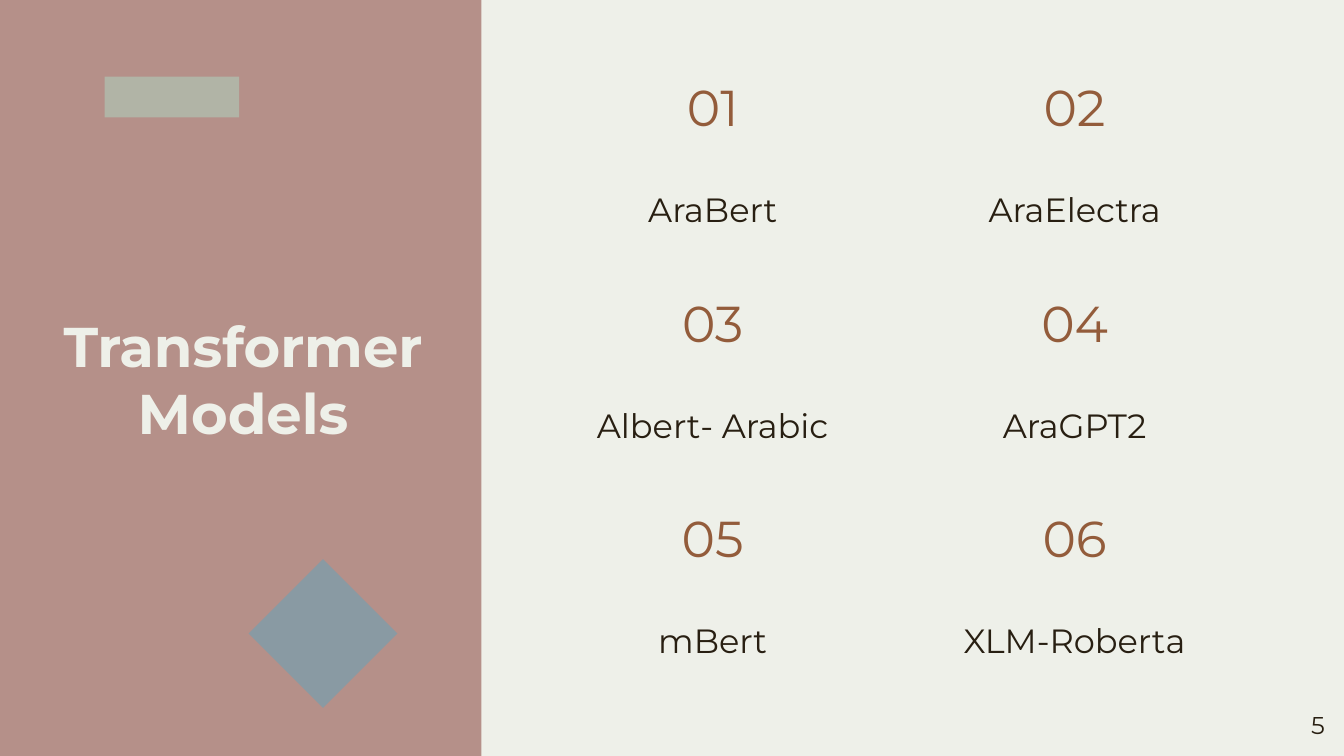
from pptx import Presentation
from pptx.dml.color import RGBColor
from pptx.enum.shapes import MSO_SHAPE
from pptx.enum.text import MSO_ANCHOR, MSO_AUTO_SIZE, PP_ALIGN
from pptx.util import Cm, Pt

# Content
TITLE = "Transformer Models"
MODELS = ["AraBert", "AraElectra", "Albert- Arabic", "AraGPT2", "mBert", "XLM-Roberta"]
PAGE = "5"

# Style
FONT = "Montserrat"
ROSE, CREAM, BROWN, INK = "B59089", "EEF0E9", "935C3B", "281F12"
SAGE, SLATE = "B1B4A6", "899AA3"

# Grid, in cm
COLUMNS = 2
CENTER_X, COLUMN_STEP = 13.47, 6.84
TOP, ROW_STEP = 1.45, 4.07
NUMBER_W, NUMBER_H = 3.53, 1.14
LABEL_W, LABEL_H, LABEL_DROP = 6.84, 1.35, 1.88


def color(value):
    return RGBColor.from_string(value)


def add_block(s, kind, x, y, w, h, fill):
    sp = s.shapes.add_shape(kind, Cm(x), Cm(y), Cm(w), Cm(h))
    sp.shadow.inherit = False
    sp.fill.solid()
    sp.fill.fore_color.rgb = color(fill)
    sp.line.fill.background()


def write(sp, text, size, ink, align=PP_ALIGN.CENTER, anchor=MSO_ANCHOR.TOP, bold=False):
    tf = sp.text_frame
    tf.word_wrap = True
    tf.auto_size = MSO_AUTO_SIZE.NONE
    tf.vertical_anchor = anchor
    tf.margin_left = tf.margin_right = tf.margin_top = tf.margin_bottom = Cm(0.25)
    p = tf.paragraphs[0]
    p.alignment = align
    r = p.add_run()
    r.text = text
    r.font.name = FONT
    r.font.size = Pt(size)
    r.font.bold = bold
    r.font.color.rgb = color(ink)


def add_text(s, x, y, w, h, *args, **kwargs):
    write(s.shapes.add_textbox(Cm(x), Cm(y), Cm(w), Cm(h)), *args, **kwargs)


prs = Presentation()
prs.slide_width, prs.slide_height = Cm(25.4), Cm(14.29)
s = prs.slides.add_slide(prs.slide_layouts[5])
s.background.fill.solid()
s.background.fill.fore_color.rgb = color(ROSE)

# Panel and ornaments
add_block(s, MSO_SHAPE.RECTANGLE, 9.1, 0, 16.3, 14.29, CREAM)
add_block(s, MSO_SHAPE.RECTANGLE, 1.98, 1.45, 2.54, 0.77, SAGE)
add_block(s, MSO_SHAPE.DIAMOND, 4.7, 10.57, 2.81, 2.81, SLATE)

# Title
title = s.shapes.title
title.left, title.top, title.width, title.height = Cm(0.81), Cm(5.59), Cm(7.57), Cm(3.12)
write(title, TITLE, 30, CREAM, anchor=MSO_ANCHOR.MIDDLE, bold=True)

# Numbered models
for i, model in enumerate(MODELS):
    row, col = divmod(i, COLUMNS)
    x = CENTER_X + col * COLUMN_STEP
    y = TOP + row * ROW_STEP
    add_text(s, x - NUMBER_W / 2, y, NUMBER_W, NUMBER_H, f"{i + 1:02}", 27, BROWN,
             anchor=MSO_ANCHOR.MIDDLE)
    add_text(s, x - LABEL_W / 2, y + LABEL_DROP, LABEL_W, LABEL_H, model, 18, INK)

# Page number
add_text(s, 23.77, 13.18, 1.52, 1.09, PAGE, 13, INK, align=PP_ALIGN.RIGHT)

prs.save("out.pptx")
